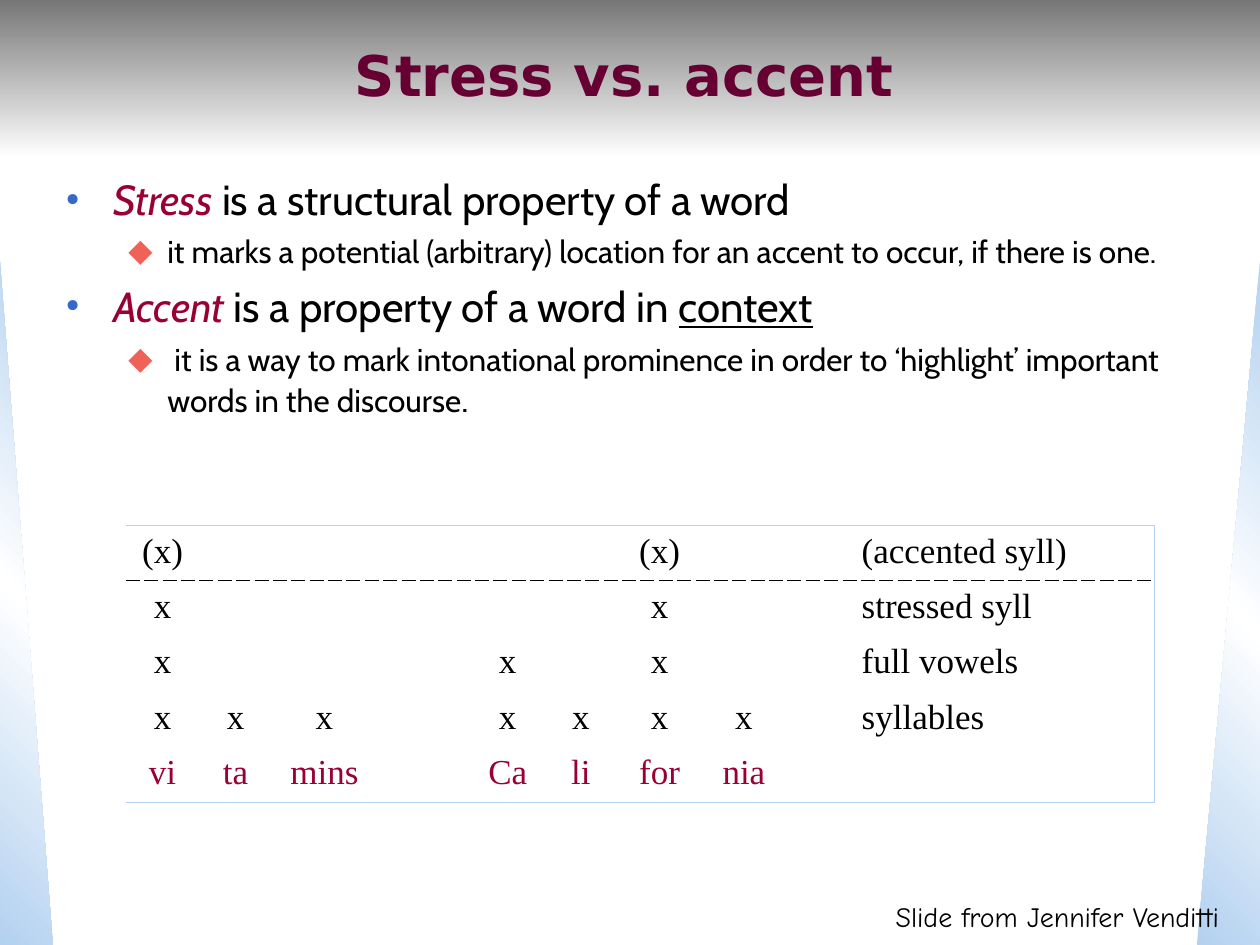
"""Build a slide on stress versus accent with a metrical grid."""
import copy
from dataclasses import dataclass, field

import lxml.etree
import pptx
import pptx.dml.color
import pptx.enum.shapes
import pptx.enum.text
import pptx.oxml.ns
import pptx.util

Inches = pptx.util.Inches
Pt = pptx.util.Pt
Color = pptx.dml.color.RGBColor
Align = pptx.enum.text.PP_ALIGN
Anchor = pptx.enum.text.MSO_ANCHOR
Form = pptx.enum.shapes.MSO_SHAPE
qn = pptx.oxml.ns.qn

BLACK = Color(0x00, 0x00, 0x00)
WHITE = Color(0xFF, 0xFF, 0xFF)
GRAY = Color(0x77, 0x77, 0x77)
SKY = Color(0xB3, 0xD1, 0xF0)
PLUM = Color(0x66, 0x00, 0x33)
WINE = Color(0x99, 0x00, 0x33)
BLUE = Color(0x35, 0x68, 0xC7)
CORAL = Color(0xF0, 0x61, 0x57)


@dataclass
class Panel:
    form: Form
    box: tuple
    stops: tuple
    angle: int
    flip: bool = False


@dataclass
class Run:
    text: str
    style: dict = field(default_factory=dict)


@dataclass
class Level:
    depth: int
    mark: str
    face: str
    tint: Color
    left: float
    hang: float
    size: int


@dataclass
class Item:
    level: Level
    gap: float
    runs: list


PANELS = [
    Panel(Form.RECTANGLE, (0, 0, 10, 1.25), (GRAY, WHITE), 90),
    Panel(Form.RIGHT_TRIANGLE, (0, 2.08, 0.42, 5.42), (SKY, WHITE, SKY), 135),
    Panel(Form.RIGHT_TRIANGLE, (9.5, 2.08, 0.5, 5.42), (SKY, WHITE, SKY), 225, True),
]
MAIN = Level(0, "•", "Times New Roman", BLUE, 0.38, 0.38, 24)
SUB = Level(1, "◆", "DejaVu Sans", CORAL, 0.81, 0.31, 18)
TERM = {"italic": True, "color": WINE}
ITEMS = [
    Item(MAIN, 0, [Run("Stress", TERM), Run(" is a structural property of a word")]),
    Item(SUB, 4.5, [Run("it marks a potential (arbitrary) location for an accent "
                        "to occur, if there is one.")]),
    Item(MAIN, 6, [Run("Accent", TERM), Run(" is a property of a word in "),
                   Run("context", {"underline": True})]),
    Item(SUB, 5, [Run(" it is a way to mark intonational prominence in order to "
                      "‘highlight’ important words in the discourse"),
                  Run(".", {"size": Pt(20)})]),
]
WIDTHS = [0.58, 0.58, 0.83, 0.75, 0.58, 0.58, 0.67, 0.67, 0.5, 2.42]
HEIGHT = 0.44
SOUNDS = ["vi", "ta", "mins", "", "Ca", "li", "for", "nia", "", ""]
GRID = [
    ("(x)", {0, 6}, "(accented syll)"),
    ("x", {0, 6}, "stressed syll"),
    ("x", {0, 4, 6}, "full vowels"),
    ("x", {0, 1, 2, 4, 5, 6, 7}, "syllables"),
]


def spot(box: tuple) -> list:
    return [Inches(n) for n in box]


def style(font, values: dict) -> None:
    for name, value in values.items():
        if name == "color":
            font.color.rgb = value
        else:
            setattr(font, name, value)


def write(para, runs: list, base: dict) -> None:
    for part in runs:
        run = para.add_run()
        run.text = part.text
        style(run.font, base | part.style)


def add_panel(slide, panel: Panel) -> None:
    shape = slide.shapes.add_shape(panel.form, *spot(panel.box))
    shape.shadow.inherit = False
    shape.line.fill.background()
    shape.fill.gradient()
    shape.fill.gradient_angle = 360 - panel.angle
    props = shape.element.spPr
    stops = props.find(".//" + qn("a:gsLst"))
    while len(stops) < len(panel.stops):
        stops.append(copy.deepcopy(stops[0]))
    for k, (stop, tint) in enumerate(zip(shape.fill.gradient_stops, panel.stops)):
        stop.position = k / (len(panel.stops) - 1)
        stop.color.rgb = tint
    if panel.flip:
        props.find(qn("a:xfrm")).set("flipH", "1")


def add_text(slide, box: tuple, wrap: bool = True):
    frame = slide.shapes.add_textbox(*spot(box)).text_frame
    frame.word_wrap = wrap
    return frame


def add_mark(para, level: Level) -> None:
    props = para._p.get_or_add_pPr()
    props.set("marL", str(Inches(level.left)))
    props.set("indent", str(-Inches(level.hang)))
    tint = lxml.etree.SubElement(props, qn("a:buClr"))
    lxml.etree.SubElement(tint, qn("a:srgbClr"), val=str(level.tint))
    lxml.etree.SubElement(props, qn("a:buFont"), typeface=level.face)
    lxml.etree.SubElement(props, qn("a:buChar"), char=level.mark)


def add_items(frame, items: list) -> None:
    for k, item in enumerate(items):
        para = frame.add_paragraph() if k else frame.paragraphs[0]
        level = item.level
        add_mark(para, level)
        para.level = level.depth
        para.space_before = Pt(item.gap)
        write(para, item.runs,
              {"name": "Cabin", "size": Pt(level.size), "color": BLACK})


def add_edge(cell, side: str, tint: Color | None, dash: str = "solid") -> None:
    props = cell._tc.get_or_add_tcPr()
    line = lxml.etree.SubElement(props, qn("a:ln" + side), w=str(Pt(0.45)))
    if tint is None:
        lxml.etree.SubElement(line, qn("a:noFill"))
        return
    fill = lxml.etree.SubElement(line, qn("a:solidFill"))
    lxml.etree.SubElement(fill, qn("a:srgbClr"), val=str(tint))
    lxml.etree.SubElement(line, qn("a:prstDash"), val=dash)


def add_grid(slide) -> None:
    rows = [[mark if c in spots else "" for c in range(len(WIDTHS) - 1)] + [label]
            for mark, spots, label in GRID] + [SOUNDS]
    box = (1, 4.17, sum(WIDTHS), HEIGHT * len(rows))
    table = slide.shapes.add_table(len(rows), len(WIDTHS), *spot(box)).table
    table.first_row = table.horz_banding = False
    for col, width in zip(table.columns, WIDTHS):
        col.width = Inches(width)
    end, last = len(rows) - 1, len(WIDTHS) - 1
    rules = {0: (SKY,), 1: (BLACK, "dash"), end + 1: (SKY,)}
    for r, row in enumerate(rows):
        table.rows[r].height = Inches(HEIGHT)
        for c, text in enumerate(row):
            cell = table.cell(r, c)
            add_edge(cell, "L", None)
            add_edge(cell, "R", SKY if c == last else None)
            add_edge(cell, "T", *rules.get(r, (None,)))
            add_edge(cell, "B", *rules.get(r + 1, (None,)))
            cell.fill.background()
            if text:
                para = cell.text_frame.paragraphs[0]
                para.alignment = Align.LEFT if c == last else Align.CENTER
                write(para, [Run(text)], {"name": "Times New Roman", "size": Pt(20),
                                          "color": WINE if r == end else BLACK})


def main() -> None:
    deck = pptx.Presentation()
    deck.slide_width, deck.slide_height = Inches(10), Inches(7.5)
    slide = deck.slides.add_slide(deck.slide_layouts[6])
    for panel in PANELS:
        add_panel(slide, panel)
    head = add_text(slide, (0.08, 0, 9.75, 1.17))
    head.vertical_anchor = Anchor.MIDDLE
    head.paragraphs[0].alignment = Align.CENTER
    write(head.paragraphs[0], [Run("Stress vs. accent")],
          {"name": "DejaVu Sans", "size": Pt(32), "bold": True, "color": PLUM})
    add_items(add_text(slide, (0.42, 1.33, 9, 5.75)), ITEMS)
    add_grid(slide)
    note = add_text(slide, (7.01, 7.09, 2.79, 0.37), False)
    write(note.paragraphs[0], [Run("Slide from Jennifer Venditti")],
          {"name": "Comic Neue", "size": Pt(16), "color": BLACK})
    deck.save("out.pptx")


if __name__ == "__main__":
    main()
